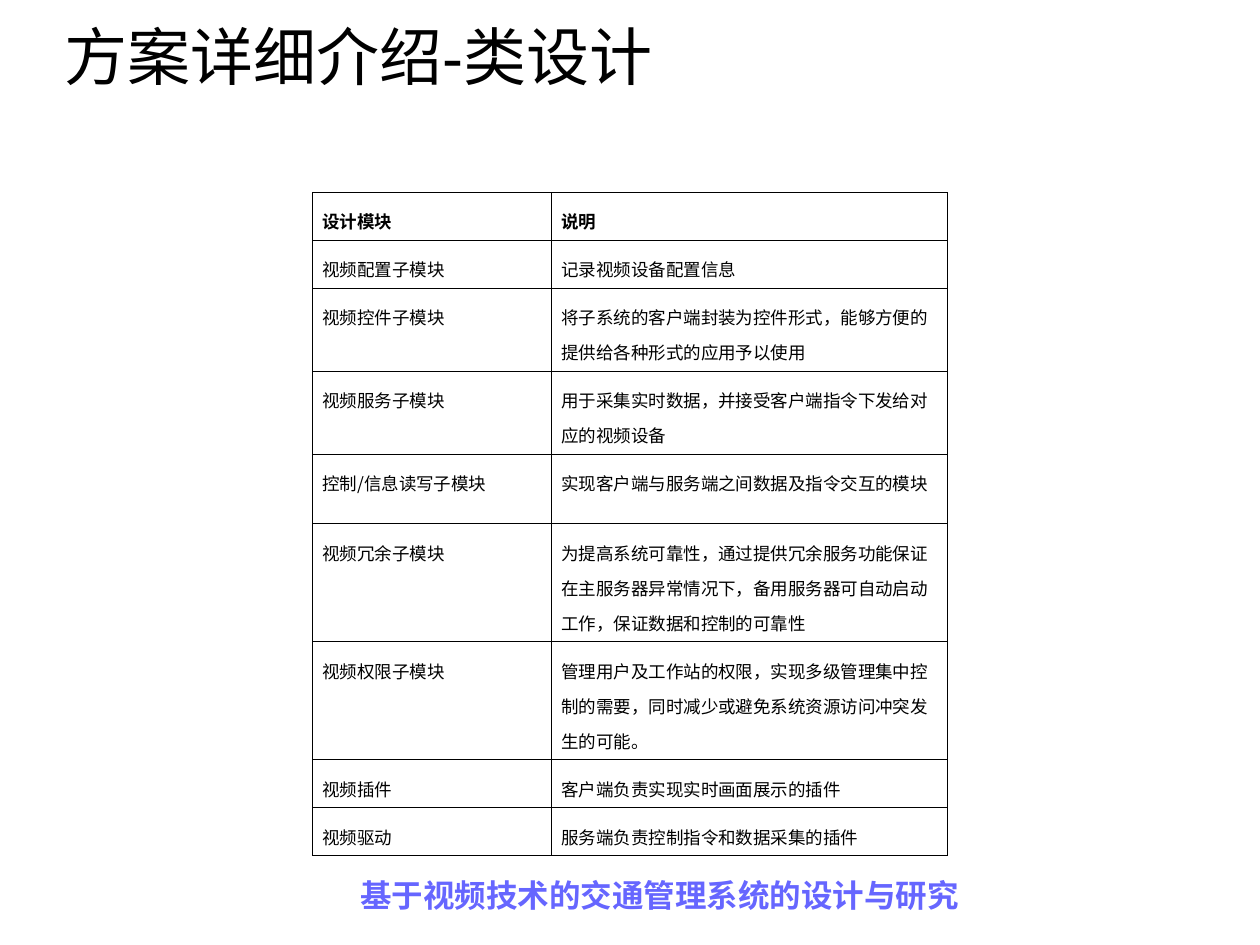
from pptx import Presentation
from pptx.dml.color import RGBColor
from pptx.enum.text import MSO_ANCHOR, PP_ALIGN
from pptx.oxml import parse_xml
from pptx.oxml.ns import nsdecls
from pptx.util import Cm, Pt

# Content
TITLE = "方案详细介绍-类设计"
FOOTER = "基于视频技术的交通管理系统的设计与研究"
# Module, description, text lines that the row has room for
MODULES = [
    ("设计模块", "说明", 1),
    ("视频配置子模块", "记录视频设备配置信息", 1),
    ("视频控件子模块", "将子系统的客户端封装为控件形式，能够方便的提供给各种形式的应用予以使用", 2),
    ("视频服务子模块", "用于采集实时数据，并接受客户端指令下发给对应的视频设备", 2),
    ("控制/信息读写子模块", "实现客户端与服务端之间数据及指令交互的模块", 2),
    ("视频冗余子模块",
     "为提高系统可靠性，通过提供冗余服务功能保证在主服务器异常情况下，"
     "备用服务器可自动启动工作，保证数据和控制的可靠性", 3),
    ("视频权限子模块",
     "管理用户及工作站的权限，实现多级管理集中控制的需要，"
     "同时减少或避免系统资源访问冲突发生的可能。", 3),
    ("视频插件", "客户端负责实现实时画面展示的插件", 1),
    ("视频驱动", "服务端负责控制指令和数据采集的插件", 1),
]

# Style
BLACK = RGBColor(0x00, 0x00, 0x00)
VIOLET = RGBColor(0x66, 0x66, 0xFF)
LATIN_FONT = "Arial"
CHINESE_FONT = "Noto Sans CJK SC"
COLUMN_WIDTHS = (Cm(4.82), Cm(7.98))
LINE_HEIGHT = Cm(0.7)
BORDER_WIDTH = Pt(0.45)


def format_text(frame, size, color, font_name, bold=False):
    for para in frame.paragraphs:
        for span in para.runs:
            font = span.font
            font.size, font.bold, font.name = Pt(size), bold, font_name
            font.color.rgb = color
            font._element.append(parse_xml(
                f'<a:ea {nsdecls("a")} typeface="{CHINESE_FONT}"/>'))


def add_borders(cell):
    properties = cell._tc.get_or_add_tcPr()
    for position, side in enumerate(("lnL", "lnR", "lnT", "lnB")):
        properties.insert(position, parse_xml(
            f'<a:{side} {nsdecls("a")} w="{int(BORDER_WIDTH)}"><a:solidFill>'
            f'<a:srgbClr val="{BLACK}"/></a:solidFill></a:{side}>'))


def fill_cell(cell, text, is_header):
    cell.text_frame.text = text
    cell.text_frame.paragraphs[0].line_spacing = Pt(20)
    format_text(cell.text_frame, 10, BLACK, CHINESE_FONT, bold=is_header)
    cell.vertical_anchor = MSO_ANCHOR.MIDDLE if is_header else MSO_ANCHOR.TOP
    cell.margin_left = cell.margin_right = Cm(0.2)
    cell.margin_top = cell.margin_bottom = Cm(0.13)
    cell.fill.background()
    add_borders(cell)


def main():
    deck = Presentation()
    deck.slide_width, deck.slide_height = Cm(25.4), Cm(19.05)
    page = deck.slides.add_slide(deck.slide_layouts[5])

    # Title
    title = page.shapes.title
    title.left, title.top = Cm(1.04), Cm(-0.48)
    title.width, title.height = Cm(22.86), Cm(3.18)
    title.text_frame.text = TITLE
    title.text_frame.vertical_anchor = MSO_ANCHOR.MIDDLE
    title.text_frame.paragraphs[0].alignment = PP_ALIGN.LEFT
    format_text(title.text_frame, 36, BLACK, LATIN_FONT)

    # Footer line
    footer = page.shapes.add_textbox(Cm(6.35), Cm(17.53), Cm(13.9), Cm(1.32))
    footer.text_frame.word_wrap = True
    footer.text_frame.text = FOOTER
    footer.text_frame.paragraphs[0].alignment = PP_ALIGN.CENTER
    format_text(footer.text_frame, 18, VIOLET, LATIN_FONT, bold=True)

    # Module table
    total_lines = sum(lines for _, _, lines in MODULES)
    table = page.shapes.add_table(
        len(MODULES), len(COLUMN_WIDTHS), Cm(6.3), Cm(3.88),
        sum(COLUMN_WIDTHS), LINE_HEIGHT * total_lines).table
    table.first_row = table.horz_banding = False
    for column, width in zip(table.columns, COLUMN_WIDTHS):
        column.width = width
    for row_number, (module, description, lines) in enumerate(MODULES):
        row = table.rows[row_number]
        row.height = LINE_HEIGHT * lines
        for cell, text in zip(row.cells, (module, description)):
            fill_cell(cell, text, is_header=row_number == 0)

    deck.save("out.pptx")


if __name__ == "__main__":
    main()
